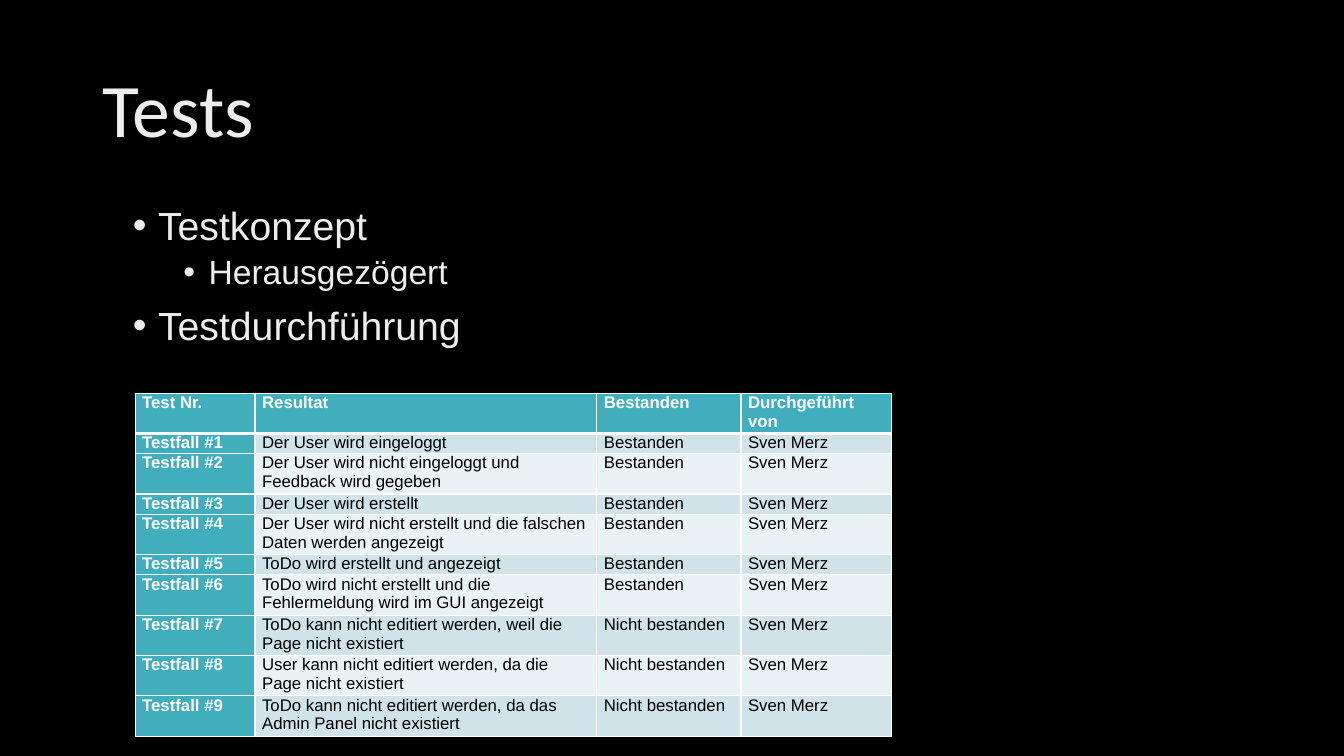
from lxml.etree import SubElement
from pptx import Presentation
from pptx.dml.color import RGBColor
from pptx.enum.text import MSO_ANCHOR as Anchor
from pptx.oxml import parse_xml
from pptx.oxml.ns import nsdecls, qn
from pptx.util import Inches, Pt

BLACK, WHITE, PALE = "000000", "FFFFFF", "EDEDED"
TEAL, BANDS = "41AEBD", ("CFE3E8", "E9F2F4")
COLUMN_WIDTHS = (1.19, 3.39, 1.43, 1.49)
LINE_HEIGHT = 0.17
HEADINGS = ("Test Nr.", "Resultat", "Bestanden", "Durchgeführt von")
TESTER = "Sven Merz"
PASSED, FAILED = "Bestanden", "Nicht bestanden"
RESULTS = (
    ("Der User wird eingeloggt", PASSED, 1),
    ("Der User wird nicht eingeloggt und Feedback wird gegeben", PASSED, 2),
    ("Der User wird erstellt", PASSED, 1),
    ("Der User wird nicht erstellt und die falschen Daten werden angezeigt", PASSED, 2),
    ("ToDo wird erstellt und angezeigt", PASSED, 1),
    ("ToDo wird nicht erstellt und die Fehlermeldung wird im GUI angezeigt", PASSED, 2),
    ("ToDo kann nicht editiert werden, weil die Page nicht existiert", FAILED, 2),
    ("User kann nicht editiert werden, da die Page nicht existiert", FAILED, 2),
    ("ToDo kann nicht editiert werden, da das Admin Panel nicht existiert", FAILED, 2),
)
TOPICS = (("Testkonzept", 0), ("Herausgezögert", 1), ("Testdurchführung", 0))


def color(value):
    return RGBColor.from_string(value)


def write(paragraph, text, size=12, font="Arial", fill=BLACK, bold=False,
          spacing=None, before=None):
    run = paragraph.add_run()
    run.text = text
    run.font.size = Pt(size)
    run.font.name = font
    run.font.bold = bold
    run.font.color.rgb = color(fill)
    paragraph.line_spacing = spacing
    if before is not None:
        paragraph.space_before = Pt(before)


def add_text_frame(slide, box, anchor):
    frame = slide.shapes.add_textbox(*map(Inches, box)).text_frame
    frame.word_wrap = True
    frame.vertical_anchor = anchor
    return frame


def add_title(slide, box, text):
    frame = add_text_frame(slide, box, Anchor.MIDDLE)
    write(frame.paragraphs[0], text, size=54, font="Calibri", fill=PALE, spacing=0.9)


def add_topics(slide, box, topics):
    frame = add_text_frame(slide, box, Anchor.TOP)
    for index, (text, level) in enumerate(topics):
        paragraph = frame.add_paragraph() if index else frame.paragraphs[0]
        paragraph.level = level
        write(paragraph, text, size=28 - 4 * level, fill=PALE,
              spacing=0.9, before=10 - 5 * level)
        properties = paragraph._p.get_or_add_pPr()
        properties.set("marL", str(Inches(0.25 + 0.5 * level)))
        properties.set("indent", str(Inches(-0.25)))
        SubElement(properties, qn("a:buFont"), typeface="Arial")
        SubElement(properties, qn("a:buChar"), char="•")


def set_borders(cell, **widths):
    properties = cell._tc.get_or_add_tcPr()
    for index, side in enumerate("LRTB"):
        properties.insert(index, parse_xml(
            f'<a:ln{side} {nsdecls("a")} w="{Pt(widths.get(side, 1))}">'
            f'<a:solidFill><a:srgbClr val="{WHITE}"/></a:solidFill></a:ln{side}>'))


def fill_cell(cell, text, row, column):
    heading = row == 0 or column == 0
    cell.margin_left = cell.margin_right = Inches(0.07)
    cell.margin_top = cell.margin_bottom = 0
    cell.fill.solid()
    cell.fill.fore_color.rgb = color(TEAL if heading else BANDS[(row - 1) % 2])
    write(cell.text_frame.paragraphs[0], text,
          fill=WHITE if heading else BLACK, bold=heading)
    set_borders(cell, B=3 if row == 0 else 1, T=3 if row == 1 else 1)


def add_results(slide, left, top, results):
    rows = [HEADINGS] + [(f"Testfall #{number}", result, status, TESTER)
                         for number, (result, status, _) in enumerate(results, 1)]
    heights = [LINE_HEIGHT] + [LINE_HEIGHT * lines for _, _, lines in results]
    table = slide.shapes.add_table(
        len(rows), len(COLUMN_WIDTHS), Inches(left), Inches(top),
        Inches(sum(COLUMN_WIDTHS)), Inches(sum(heights))).table
    table.horz_banding = False
    for column, width in zip(table.columns, COLUMN_WIDTHS):
        column.width = Inches(width)
    for row, (texts, height) in enumerate(zip(rows, heights)):
        table.rows[row].height = Inches(height)
        for column, text in enumerate(texts):
            fill_cell(table.cell(row, column), text, row, column)


def main():
    presentation = Presentation()
    presentation.slide_width = Inches(13.33)
    presentation.slide_height = Inches(7.5)
    slide = presentation.slides.add_slide(presentation.slide_layouts[6])
    slide.background.fill.solid()
    slide.background.fill.fore_color.rgb = color(BLACK)
    add_title(slide, (0.92, 0.4, 11.5, 1.45), "Tests")
    add_topics(slide, (1.22, 2, 11.19, 4.76), TOPICS)
    add_results(slide, 1.34, 3.9, RESULTS)
    presentation.save("out.pptx")


if __name__ == "__main__":
    main()
